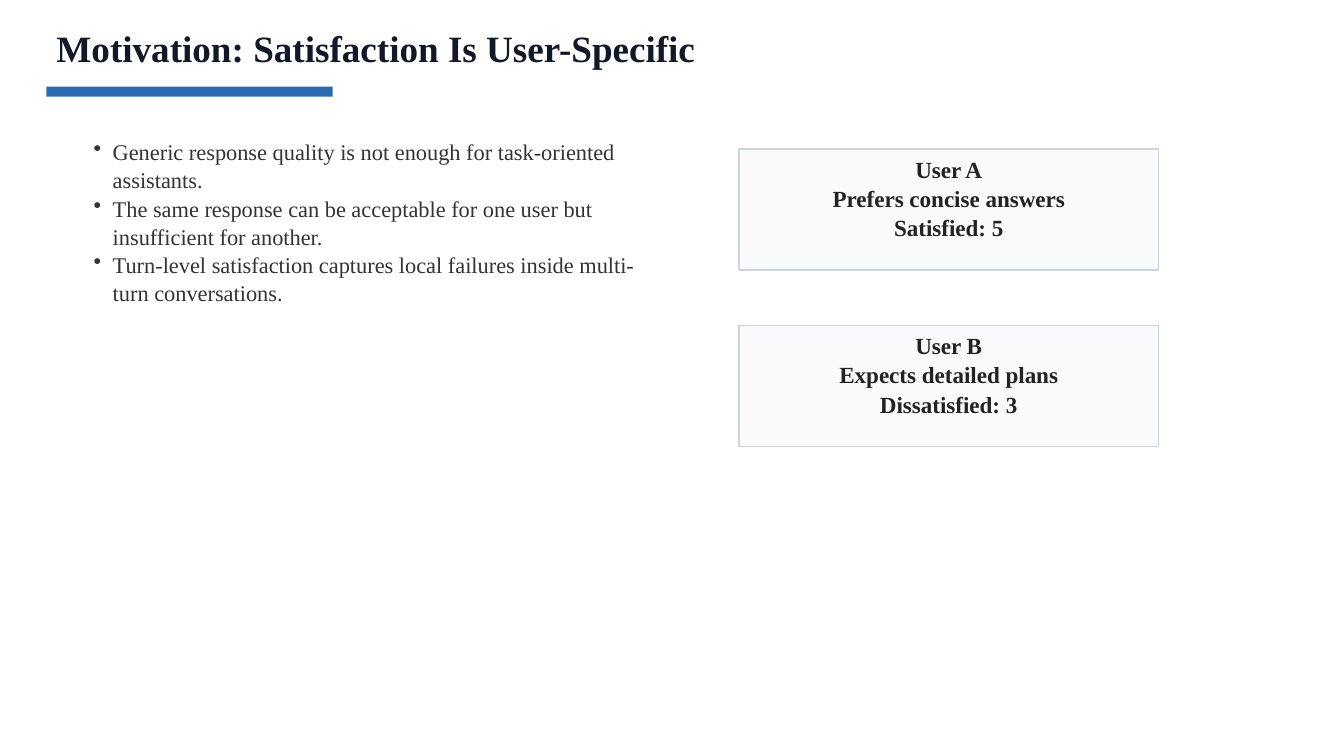
from pptx import Presentation
from pptx.dml.color import RGBColor
from pptx.enum.shapes import MSO_SHAPE
from pptx.enum.text import MSO_ANCHOR, MSO_AUTO_SIZE, PP_ALIGN
from pptx.oxml.ns import qn
from pptx.util import Inches, Pt
from lxml.etree import SubElement

# Content
TITLE = "Motivation: Satisfaction Is User-Specific"
REASONS = [
    "Generic response quality is not enough for task-oriented assistants.",
    "The same response can be acceptable for one user but insufficient for another.",
    "Turn-level satisfaction captures local failures inside multi-turn conversations.",
]
USERS = [
    ("User A", "Prefers concise answers", "Satisfied: 5"),
    ("User B", "Expects detailed plans", "Dissatisfied: 3"),
]

# Layout in inches
CARD_LEFT, CARD_TOP, CARD_WIDTH, CARD_HEIGHT = 7.33, 1.48, 4.16, 1.2
CARD_STEP = 1.75


def color(value):
    return RGBColor.from_string(value)


def box(left, top, width, height):
    return [Inches(length) for length in (left, top, width, height)]


def add_bullet(paragraph):
    properties = paragraph._p.get_or_add_pPr()
    properties.set("marL", str(Inches(0.31)))
    properties.set("indent", str(Inches(-0.19)))
    SubElement(properties, qn("a:buChar")).set("char", "•")


def write(frame, lines, size, ink, bold=False, align=PP_ALIGN.LEFT,
          spacing=None, bulleted=False):
    frame.word_wrap = True
    frame.auto_size = MSO_AUTO_SIZE.NONE
    frame.vertical_anchor = MSO_ANCHOR.TOP
    frame.text = "\n".join(lines)
    for paragraph in frame.paragraphs:
        if bulleted:
            add_bullet(paragraph)
        paragraph.alignment = align
        paragraph.line_spacing = spacing
        font = paragraph.font
        font.name, font.size, font.bold = "Times New Roman", Pt(size), bold
        font.color.rgb = color(ink)


def add_rectangle(slide, place, fill, line=None):
    rectangle = slide.shapes.add_shape(MSO_SHAPE.RECTANGLE, *place)
    rectangle.shadow.inherit = False
    rectangle.fill.solid()
    rectangle.fill.fore_color.rgb = color(fill)
    if line:
        rectangle.line.color.rgb = color(line)
        rectangle.line.width = Pt(1)
    else:
        rectangle.line.fill.background()
    return rectangle


def main():
    deck = Presentation()
    deck.slide_width, deck.slide_height = Inches(13.33), Inches(7.5)
    slide = deck.slides.add_slide(deck.slide_layouts[5])

    # Title and accent bar
    title = slide.shapes.title
    title.left, title.top, title.width, title.height = box(0.46, 0.2, 12.25, 0.68)
    write(title.text_frame, [TITLE], 26.5, "111827", bold=True)
    add_rectangle(slide, box(0.46, 0.86, 2.84, 0.1), "2B6CB0")

    # Reasons
    reasons = slide.shapes.add_textbox(*box(0.71, 1.31, 5.69, 2.52))
    write(reasons.text_frame, REASONS, 16, "333333", spacing=1.05, bulleted=True)

    # User cards
    for index, user in enumerate(USERS):
        place = box(CARD_LEFT, CARD_TOP + index * CARD_STEP, CARD_WIDTH, CARD_HEIGHT)
        card = add_rectangle(slide, place, "F8FAFC", "CBD5E1")
        write(card.text_frame, user, 16.5, "222222", bold=True,
              align=PP_ALIGN.CENTER, spacing=1.05)

    deck.save("out.pptx")


if __name__ == "__main__":
    main()
